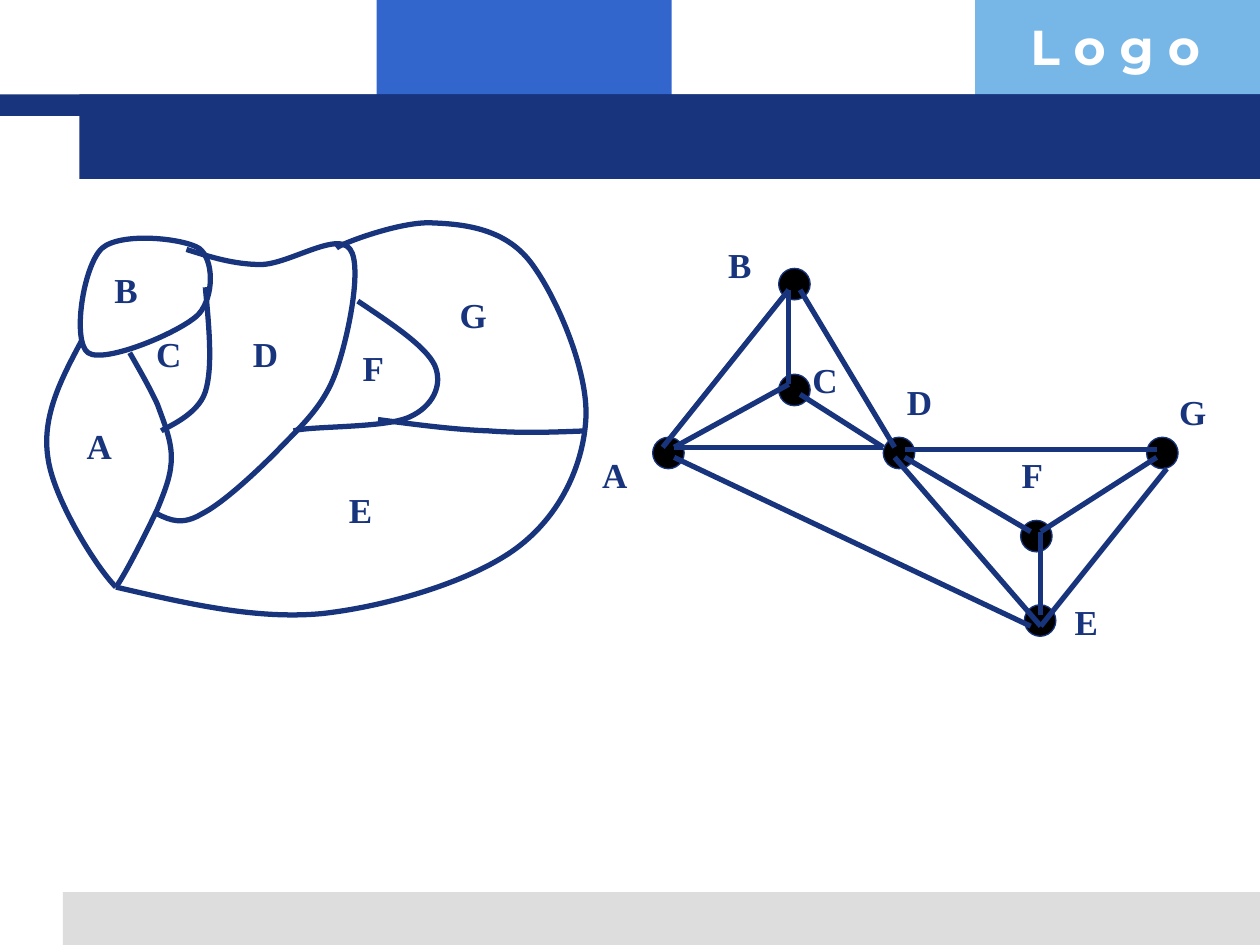
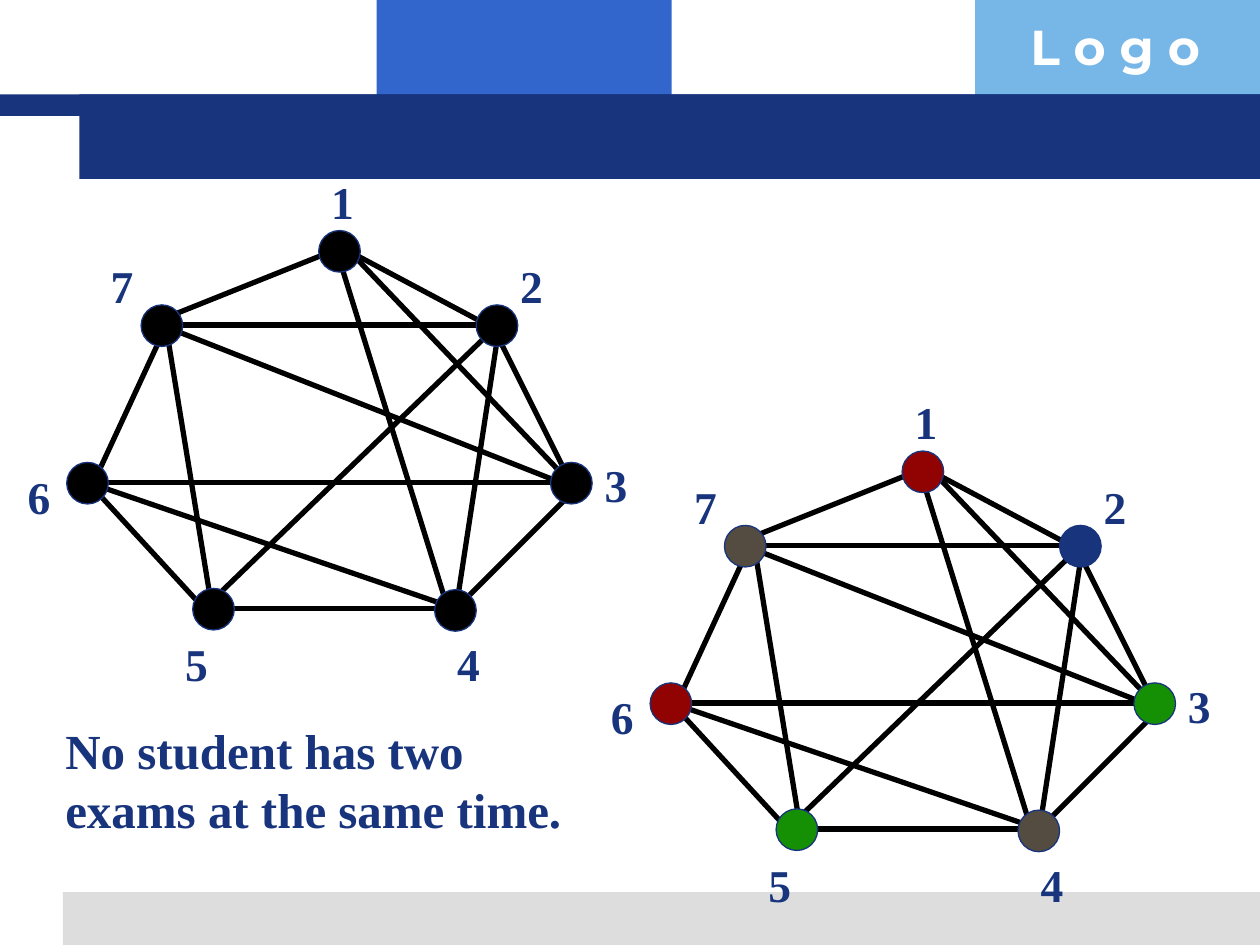
import pptx
import pptx.util
import pptx.dml.color
import pptx.enum.shapes
import pptx.enum.text
import pptx.oxml.ns
import lxml.etree

Inches = pptx.util.Inches
Pt = pptx.util.Pt
RGB = pptx.dml.color.RGBColor
KIND = pptx.enum.shapes.MSO_SHAPE
FIT = pptx.enum.text.MSO_AUTO_SIZE.SHAPE_TO_FIT_TEXT
qn = pptx.oxml.ns.qn

NAVY = RGB(0x17, 0x34, 0x7D)
BLUE = RGB(0x33, 0x66, 0xCC)
SKY = RGB(0x77, 0xB7, 0xE7)
PALE = RGB(0xDD, 0xDD, 0xDD)
WHITE = RGB(0xFF, 0xFF, 0xFF)
BLACK = RGB(0, 0, 0)
RED = RGB(0x91, 0x03, 0x03)
GREEN = RGB(0x15, 0x90, 0x04)
BROWN = RGB(0x54, 0x4C, 0x40)
SERIF = "Times New Roman"


def form(slide, kind, box, fill, edge=None):
    shape = slide.shapes.add_shape(kind, *map(Inches, box))
    shape.shadow.inherit = False
    shape.fill.solid()
    shape.fill.fore_color.rgb = fill
    if edge is None:
        shape.line.fill.background()
    else:
        shape.line.color.rgb = edge
        shape.line.width = Pt(0.75)


def link(slide, ends, ink, dx=0, dy=0):
    x1, y1, x2, y2 = ends
    line = slide.shapes.add_connector(
        pptx.enum.shapes.MSO_CONNECTOR.STRAIGHT,
        Inches(x1 + dx), Inches(y1 + dy), Inches(x2 + dx), Inches(y2 + dy))
    line.line.color.rgb = ink
    line.line.width = Pt(3)
    lxml.etree.SubElement(line._element.spPr, qn("a:effectLst"))


deck = pptx.Presentation()
deck.slide_width, deck.slide_height = Inches(10), Inches(7.5)
bare = deck.slide_layouts[6]
first, last = deck.slides.add_slide(bare), deck.slides.add_slide(bare)
texts = []  # slide, left, top, width, height, words, font, size, colour, wrap

# Shared bands and logo word
bands = [
    ((2.99, 0, 2.34, 0.92), BLUE),
    ((7.74, 0, 2.26, 0.92), SKY),
    ((0.5, 7.08, 9.5, 0.42), PALE),
    ((0, 0.75, 10, 0.17), NAVY),
    ((0.63, 0.75, 9.37, 0.67), NAVY),
]
for slide in (first, last):
    for box, fill in bands:
        form(slide, KIND.RECTANGLE, box, fill)
    texts.append((slide, 8.08, 0.08, 1.93, 0.57, "L o g o",
                  "Montserrat", 28, WHITE, True))

# Map borders: a start point, then cubic curves (two controls and an end)
borders = [
    [(0.7, 2.8), (0.57, 2.71), (0.66, 2.11), (0.81, 1.97),
     (0.96, 1.84), (1.45, 1.89), (1.58, 1.97),
     (1.7, 2.06), (1.7, 2.35), (1.58, 2.49),
     (1.45, 2.63), (0.83, 2.89), (0.7, 2.8)],
    [(1.48, 1.98), (1.67, 2.04), (1.86, 2.1), (2.07, 2.1),
     (2.29, 2.1), (2.68, 1.83), (2.78, 1.98),
     (2.88, 2.12), (2.76, 2.7), (2.66, 2.97),
     (2.56, 3.24), (2.37, 3.4), (2.19, 3.59),
     (2.01, 3.77), (1.76, 4), (1.6, 4.08),
     (1.45, 4.17), (1.35, 4.13), (1.25, 4.08)],
    [(1.63, 2.28), (1.66, 2.6), (1.69, 2.92), (1.63, 3.11),
     (1.57, 3.3), (1.3, 3.4), (1.28, 3.42)],
    [(1.03, 2.8), (1.11, 2.94), (1.19, 3.08), (1.25, 3.21),
     (1.3, 3.35), (1.36, 3.49), (1.36, 3.63),
     (1.36, 3.76), (1.32, 3.87), (1.25, 4.04),
     (1.17, 4.21), (0.99, 4.57), (0.92, 4.66)],
    [(0.65, 2.7), (0.49, 3), (0.33, 3.3), (0.38, 3.63),
     (0.42, 3.95), (0.76, 4.5), (0.92, 4.66)],
    [(0.92, 4.66), (1.48, 4.79), (2.03, 4.92), (2.56, 4.87),
     (3.09, 4.81), (3.75, 4.61), (4.1, 4.35),
     (4.45, 4.09), (4.63, 3.69), (4.65, 3.32),
     (4.67, 2.94), (4.41, 2.34), (4.21, 2.08),
     (4.01, 1.82), (3.7, 1.78), (3.44, 1.77),
     (3.19, 1.75), (2.69, 1.94), (2.67, 1.97)],
    [(2.84, 2.39), (3.11, 2.57), (3.38, 2.75), (3.45, 2.9),
     (3.52, 3.06), (3.43, 3.23), (3.25, 3.31),
     (3.06, 3.4), (2.45, 3.38), (2.33, 3.42)],
    [(3, 3.33), (3.3, 3.37), (3.6, 3.41), (3.88, 3.42),
     (4.15, 3.44), (4.4, 3.43), (4.65, 3.42)],
]
for border in borders:
    start, *rest = [tuple(map(Inches, point)) for point in border]
    pen = first.shapes.build_freeform(*start)
    pen.add_line_segments(rest, close=start == rest[-1])
    shape = pen.convert_to_shape()
    shape.shadow.inherit = False
    shape.fill.background()
    shape.line.color.rgb = NAVY
    shape.line.width = Pt(3)
    # Join each three straight steps into one curve
    steps = list(shape._element.iter(qn("a:lnTo")))
    for i in range(0, len(rest), 3):
        curve = lxml.etree.Element(qn("a:cubicBezTo"))
        steps[i].addprevious(curve)
        for step in steps[i:i + 3]:
            curve.append(step[0])
            step.getparent().remove(step)

# Graph of the map
spots = [(6.18, 2.13), (6.18, 2.97), (5.18, 3.47), (7.01, 3.47),
         (9.1, 3.47), (8.1, 4.13), (8.13, 4.8)]
for x, y in spots:
    form(first, KIND.OVAL, (x, y, 0.25, 0.25), BLACK, NAVY)
edges = [
    (6.26, 2.3, 5.26, 3.55), (7.1, 3.55, 6.35, 2.3), (6.26, 3.05, 5.35, 3.55),
    (7.01, 3.55, 6.35, 3.13), (7.01, 3.55, 5.35, 3.55), (9.18, 3.57, 7.18, 3.57),
    (8.18, 4.97, 5.35, 3.63), (9.26, 3.72, 8.26, 4.97), (8.26, 4.97, 7.1, 3.63),
    (8.18, 4.22, 7.18, 3.63), (9.18, 3.63, 8.26, 4.22), (8.26, 4.22, 8.26, 4.88),
    (6.26, 3.05, 6.26, 2.3),
]
for ends in edges:
    link(first, ends, NAVY)

# Letters on the map and on its graph
letters = {
    "A": [(0.59, 3.32), (4.68, 3.55)],
    "B": [(0.81, 2.08), (5.68, 1.88)],
    "C": [(1.14, 2.59), (6.35, 2.8)],
    "D": [(1.91, 2.59), (7.1, 2.97)],
    "E": [(2.67, 3.83), (8.43, 4.72)],
    "F": [(2.78, 2.7), (8.01, 3.55)],
    "G": [(3.55, 2.28), (9.26, 3.05)],
}
for name, places in letters.items():
    for x, y in places:
        texts.append((first, x, y, 0.4, 0.43, name, SERIF, 20, NAVY, False))

# Exam graph, plain and then coloured
exams = [  # dot left and top, label left and top, colour
    (2.53, 1.83, 2.53, 1.33, RED),
    (3.78, 2.42, 4.03, 2, NAVY),
    (4.37, 3.67, 4.7, 3.58, GREEN),
    (3.45, 4.68, 3.53, 5, BROWN),
    (1.53, 4.67, 1.37, 5, GREEN),
    (0.53, 3.67, 0.12, 3.67, RED),
    (1.12, 2.42, 0.78, 2, BROWN),
]
clashes = [
    (0.78, 3.75, 1.28, 2.67), (1.37, 2.58, 3.78, 2.58), (3.95, 2.67, 4.53, 3.83),
    (0.7, 3.83, 1.62, 4.83), (0.7, 3.83, 4.53, 3.83), (2.78, 2, 3.87, 2.58),
    (1.78, 4.83, 3.53, 4.83), (3.7, 4.75, 4.53, 3.92), (1.37, 2.5, 2.62, 2),
    (2.7, 2.08, 3.53, 4.75), (2.78, 2, 4.45, 3.75), (3.95, 2.58, 1.7, 4.75),
    (3.95, 2.67, 3.62, 4.83), (1.28, 2.58, 4.45, 3.83), (0.7, 3.83, 3.62, 4.83),
]
for dx, dy, shift, tinted in ((0, 0, 0, False), (4.63, 1.75, 4.67, True)):
    for ends in clashes:
        link(last, ends, BLACK, dx, dy)
    link(last, (1.33, 2.67, 1.67, 4.75), BLACK, shift, dy)  # exams 7 and 5
    for number, (x, y, left, top, tint) in enumerate(exams, 1):
        form(last, KIND.OVAL, (x + dx, y + dy, 0.33, 0.33),
             tint if tinted else BLACK, NAVY)
        texts.append((last, left + dx, top + dy, 0.38, 0.53, str(number),
                      SERIF, 26, NAVY, False))
texts.append((last, 0.42, 5.67, 4.25, 1.03,
              "No student has two exams at the same time.", SERIF, 28, NAVY, True))

# All text
for slide, x, y, w, h, words, face, size, ink, wrap in texts:
    frame = slide.shapes.add_textbox(*map(Inches, (x, y, w, h))).text_frame
    frame.word_wrap = wrap
    frame.auto_size = FIT
    para = frame.paragraphs[0]
    para.text = words
    para.font.name = face
    para.font.size = Pt(size)
    para.font.bold = True
    para.font.color.rgb = ink

deck.save("out.pptx")
